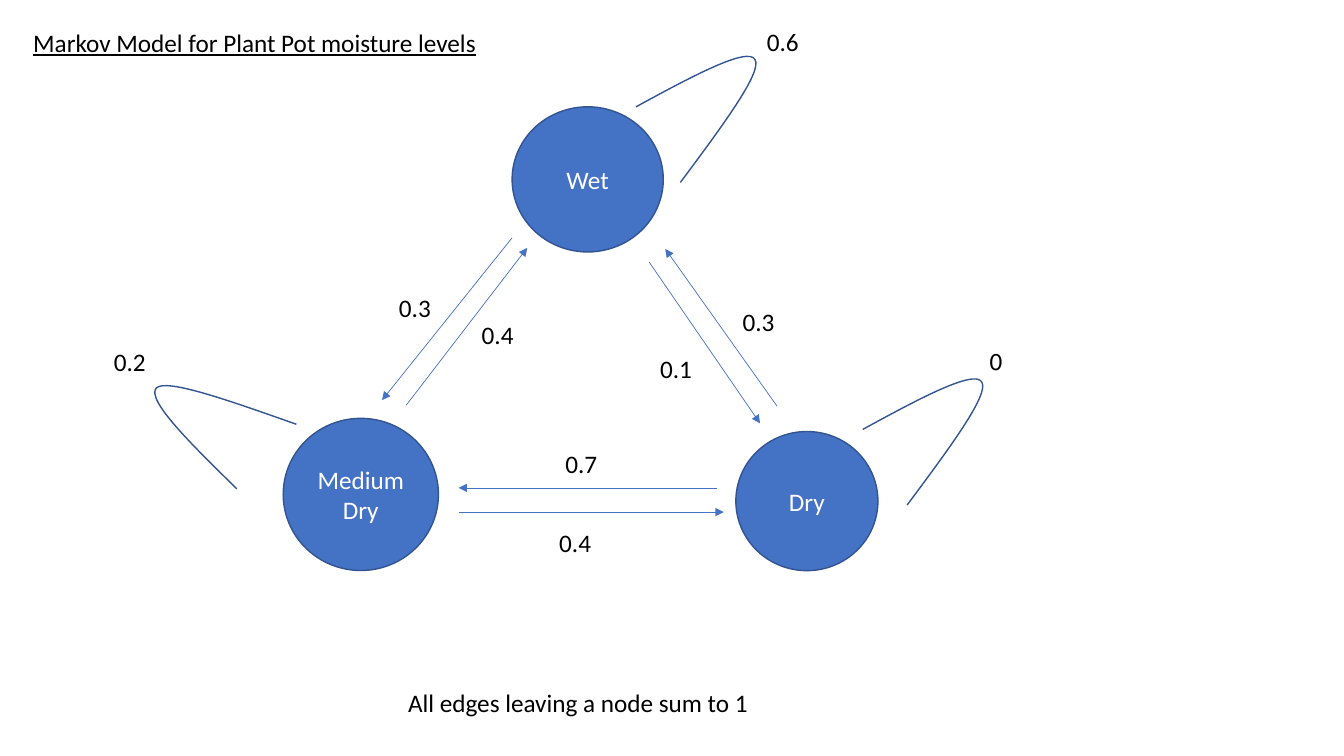
from dataclasses import dataclass
from typing import NamedTuple

from lxml import etree
from pptx import Presentation
from pptx.dml.color import RGBColor
from pptx.enum.shapes import MSO_CONNECTOR, MSO_SHAPE
from pptx.enum.text import MSO_ANCHOR, MSO_AUTO_SIZE, PP_ALIGN
from pptx.oxml.ns import qn
from pptx.util import Pt

OVAL = MSO_SHAPE.OVAL
STRAIGHT = MSO_CONNECTOR.STRAIGHT
MIDDLE = MSO_ANCHOR.MIDDLE
CENTER = PP_ALIGN.CENTER
GROW = MSO_AUTO_SIZE.SHAPE_TO_FIT_TEXT


@dataclass(frozen=True)
class Theme:
    """Colours and type sizes of the slide."""
    node: RGBColor = RGBColor(0x44, 0x72, 0xC4)
    outline: RGBColor = RGBColor(0x32, 0x54, 0x91)
    node_text: RGBColor = RGBColor(0xFF, 0xFF, 0xFF)
    text: RGBColor = RGBColor(0, 0, 0)
    font: str = "Calibri"
    size: float = 18
    outline_width: float = 1
    arrow_width: float = 0.5


class State(NamedTuple):
    """A circle for one moisture state."""
    name: str
    x: float
    y: float
    w: float
    h: float


class Transition(NamedTuple):
    """An arrow from one state towards another."""
    x1: float
    y1: float
    x2: float
    y2: float


class Loop(NamedTuple):
    """A curve from a state to itself: start and Bezier offsets from it."""
    x: float
    y: float
    offsets: tuple


class Label(NamedTuple):
    """A line of text with its place."""
    text: str
    x: float
    y: float
    w: float = 59.8
    rotation: float = 0
    underline: bool = False


THEME = Theme()
LABEL_H = 28.8
RIGHT_LOOP = ((39.6, -21.6), (79.9, -43.2), (85, -33.8),
              (90.7, -25.2), (61.2, 14.4), (31.7, 54))
LEFT_LOOP = ((-32.4, -31.7), (-64.8, -63.4), (-57.6, -72),
             (-50.4, -79.2), (-4.3, -62.6), (42.5, -46.1))

STATES = (
    State("Wet", 365.8, 76.3, 108, 103.7),
    State("Dry", 525.6, 308.2, 101.5, 99.4),
    State("Medium Dry", 202.3, 298.8, 110.9, 108.7),
)
TRANSITIONS = (
    Transition(365.8, 169.9, 272.9, 285.8),
    Transition(290.2, 289.4, 376.6, 177.1),
    Transition(463.7, 187.2, 542.9, 302.4),
    Transition(555.1, 290.2, 475.2, 177.8),
    Transition(511.9, 348.5, 327.6, 348.5),
    Transition(327.6, 365.8, 517, 365.8),
)
LOOPS = (
    Loop(454.3, 76.3, RIGHT_LOOP),
    Loop(616.3, 306.7, RIGHT_LOOP),
    Loop(169.2, 349.2, LEFT_LOOP),
)
LABELS = (
    Label("Markov Model for Plant Pot moisture levels", 16.6, 15.8, 409.7, underline=True),
    Label("0.6", 540.7, 15.1),
    Label("0.3", 277.9, 205.2),
    Label("0.4", 337, 224.6),
    Label("0.3", 523.4, 215.3),
    Label("0.1", 464.4, 249.1),
    Label("0.2", 74.2, 244.1),
    Label("0", 699.8, 244.1, rotation=1.6),
    Label("0.7", 396.7, 316.8),
    Label("0.4", 392.4, 373),
    Label("All edges leaving a node sum to 1", 284.4, 487.4, 258.5),
)


def set_text(tf, text: str, color: RGBColor):
    """Write one paragraph in the theme font and return its run."""
    tf.word_wrap = True
    tf.text = text
    r = tf.paragraphs[0].runs[0]
    r.font.name, r.font.size = THEME.font, Pt(THEME.size)
    r.font.color.rgb = color
    return r


def set_outline(sp) -> None:
    """Give a shape the dark outline and no shadow."""
    sp.shadow.inherit = False
    sp.line.color.rgb = THEME.outline
    sp.line.width = Pt(THEME.outline_width)


def add_state(s, state: State) -> None:
    """Draw a state circle with its name."""
    sp = s.shapes.add_shape(OVAL, Pt(state.x), Pt(state.y), Pt(state.w), Pt(state.h))
    set_outline(sp)
    sp.fill.solid()
    sp.fill.fore_color.rgb = THEME.node
    tf = sp.text_frame
    set_text(tf, state.name, THEME.node_text)
    tf.vertical_anchor = MIDDLE
    tf.paragraphs[0].alignment = CENTER


def add_transition(s, t: Transition) -> None:
    """Draw a thin arrow with its head at the second point."""
    cx = s.shapes.add_connector(STRAIGHT, Pt(t.x1), Pt(t.y1), Pt(t.x2), Pt(t.y2))
    cx.line.color.rgb = THEME.node
    cx.line.width = Pt(THEME.arrow_width)
    etree.SubElement(cx.line._get_or_add_ln(), qn("a:tailEnd"), type="triangle")
    etree.SubElement(cx._element.spPr, qn("a:effectLst"))


def add_loop(s, loop: Loop) -> None:
    """Draw an open outline, turning each three segments into one curve."""
    builder = s.shapes.build_freeform(Pt(loop.x), Pt(loop.y))
    points = [(Pt(loop.x + dx), Pt(loop.y + dy)) for dx, dy in loop.offsets]
    builder.add_line_segments(points, close=False)
    sp = builder.convert_to_shape()
    set_outline(sp)
    sp.fill.background()
    outline = sp._element.find(".//" + qn("a:path"))
    segments = outline.findall(qn("a:lnTo"))
    for i in range(0, len(segments), 3):
        curve = etree.SubElement(outline, qn("a:cubicBezTo"))
        for segment in segments[i:i + 3]:
            curve.append(segment[0])
            outline.remove(segment)


def add_label(s, label: Label) -> None:
    """Draw a text box that grows with its text."""
    sp = s.shapes.add_textbox(Pt(label.x), Pt(label.y), Pt(label.w), Pt(LABEL_H))
    sp.rotation = label.rotation
    r = set_text(sp.text_frame, label.text, THEME.text)
    sp.text_frame.auto_size = GROW
    if label.underline:
        r.font.underline = True


def main() -> None:
    """Build the slide and save it."""
    prs = Presentation()
    prs.slide_width, prs.slide_height = Pt(960), Pt(540)
    s = prs.slides.add_slide(prs.slide_layouts[6])
    for draw, items in ((add_state, STATES), (add_transition, TRANSITIONS),
                        (add_loop, LOOPS), (add_label, LABELS)):
        for item in items:
            draw(s, item)
    prs.save("out.pptx")


main()
